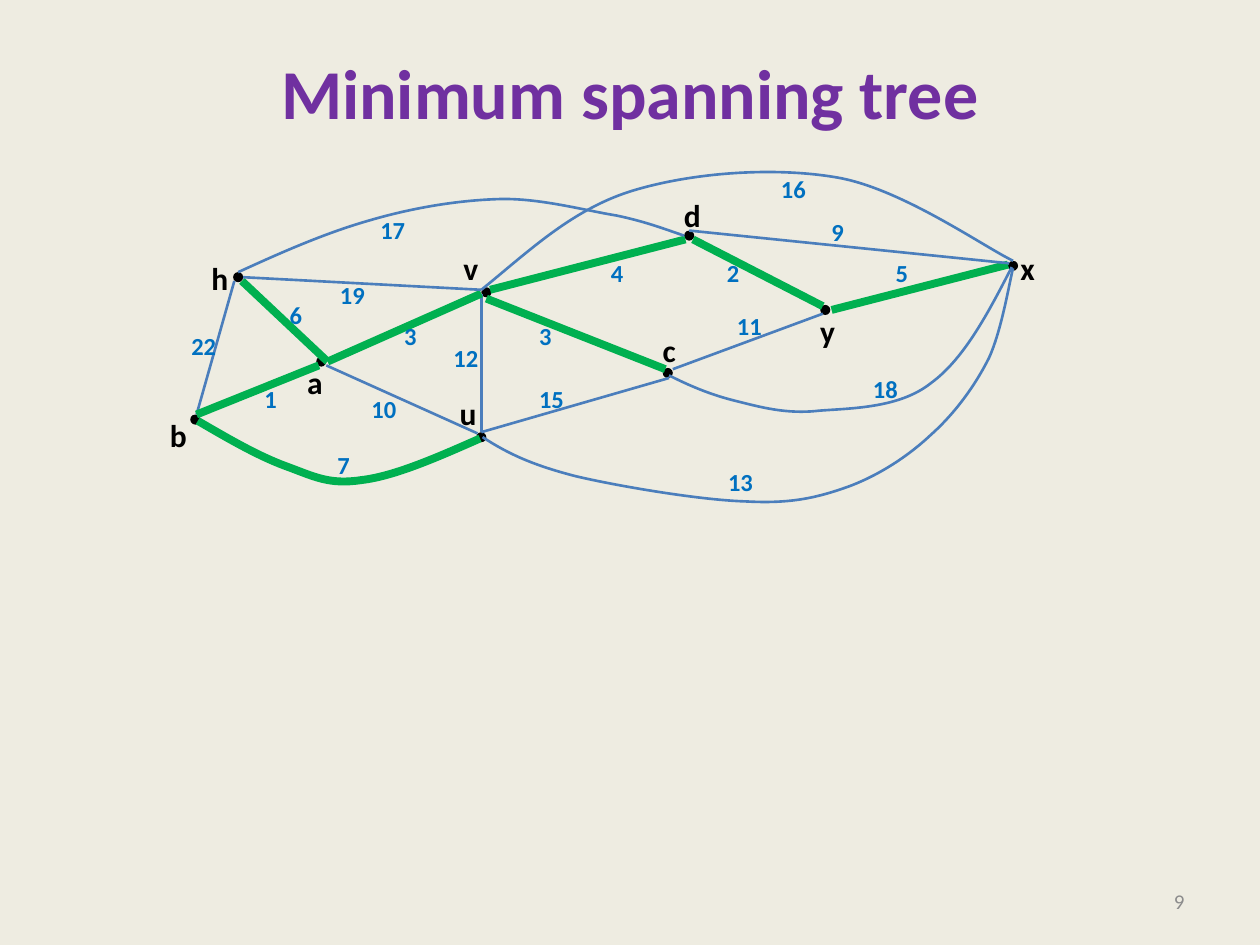
import pptx
import pptx.dml.color
import pptx.enum.shapes
import pptx.enum.text
import pptx.oxml
import pptx.oxml.ns
import pptx.util
from lxml import etree

Inches = pptx.util.Inches
Pt = pptx.util.Pt
qn = pptx.oxml.ns.qn
PP_ALIGN = pptx.enum.text.PP_ALIGN
MSO_ANCHOR = pptx.enum.text.MSO_ANCHOR
MSO_AUTO_SIZE = pptx.enum.text.MSO_AUTO_SIZE

FONT = "Calibri"
BACKGROUND, TITLE, NUMBER = "EEECE1", "7030A0", "8C8C8C"
BLACK, WEIGHT = "000000", "0070C0"
PLAIN, TREE = ("4B7EBC", 1.5), ("00B050", 4.5)
DOT = 0.08

NODES = [
    ("h", (0.85, 1.16), (0.58, 1.01, 0.34)),
    ("b", (0.51, 2.29), (0.25, 2.25, 0.34)),
    ("c", (4.26, 1.92), (4.16, 1.58, 0.31)),
    ("d", (4.43, 0.83), (4.33, 0.51, 0.34)),
    ("u", (2.78, 2.43), (2.55, 2.08, 0.34)),
    ("y", (5.51, 1.42), (5.41, 1.43, 0.32)),
    ("v", (2.82, 1.28), (2.58, 0.93, 0.32)),
    ("a", (1.51, 1.83), (1.34, 1.83, 0.33)),
    ("x", (7, 1.07), (7, 0.93, 0.32)),
]

EDGES = [
    ("10", (1.85, 2.08), PLAIN, [(1.59, 1.9), (2.79, 2.44)]),
    ("12", (2.5, 1.67), PLAIN, [(2.82, 1.33), (2.82, 2.43)]),
    ("4", (3.75, 1), TREE, [(4.44, 0.9), (2.89, 1.3)]),
    ("15", (3.18, 2), PLAIN, [(2.82, 2.43), (4.31, 2)]),
    ("11", (4.75, 1.42), PLAIN, [(4.34, 1.93), (5.53, 1.49)]),
    ("22", (0.42, 1.58), PLAIN, [(0.86, 1.23), (0.56, 2.29)]),
    ("18", (5.83, 1.92), PLAIN, [
        (4.31, 1.98), (4.47, 2.06), (4.63, 2.13), (4.83, 2.18),
        (5.03, 2.23), (5.24, 2.29), (5.5, 2.26),
        (5.76, 2.24), (6.14, 2.24), (6.39, 2.04),
        (6.65, 1.85), (6.84, 1.49), (7.03, 1.12)]),
    ("13", (4.68, 2.66), PLAIN, [
        (2.83, 2.47), (3.03, 2.6), (3.22, 2.69), (3.57, 2.78),
        (3.91, 2.86), (4.56, 2.97), (4.92, 2.98),
        (5.28, 3), (5.49, 2.95), (5.74, 2.86),
        (5.98, 2.77), (6.21, 2.62), (6.39, 2.45),
        (6.58, 2.28), (6.74, 2.06), (6.85, 1.84),
        (6.95, 1.62), (7.01, 1.25), (7.04, 1.13)]),
    ("6", (1.2, 1.33), TREE, [(0.92, 1.23), (1.6, 1.87)]),
    ("1", (1, 2), TREE, [(0.56, 2.29), (1.53, 1.9)]),
    ("3", (2.11, 1.5), TREE, [(1.6, 1.87), (2.82, 1.33)]),
    ("3", (3.18, 1.5), TREE, [(4.28, 1.93), (2.86, 1.37)]),
    ("2", (4.67, 1), TREE, [(5.53, 1.43), (4.5, 0.9)]),
    ("5", (6.01, 1), TREE, [(7, 1.1), (5.6, 1.46)]),
    ("7", (1.58, 2.52), TREE, [
        (0.57, 2.34), (0.81, 2.48), (1.05, 2.62), (1.27, 2.7),
        (1.49, 2.78), (1.61, 2.85), (1.87, 2.81),
        (2.13, 2.78), (2.47, 2.63), (2.81, 2.48)]),
    ("17", (1.92, 0.66), PLAIN, [
        (0.89, 1.16), (1.24, 1), (1.58, 0.85), (1.93, 0.75),
        (2.27, 0.65), (2.63, 0.59), (2.96, 0.58),
        (3.28, 0.57), (3.64, 0.67), (3.89, 0.71),
        (4.13, 0.76), (4.28, 0.82), (4.43, 0.87)]),
    ("16", (5.1, 0.33), PLAIN, [
        (2.82, 1.3), (3.19, 1), (3.53, 0.67), (4, 0.52),
        (4.48, 0.37), (5.14, 0.32), (5.65, 0.41),
        (6.16, 0.5), (6.81, 0.96), (7.04, 1.07)]),
    ("9", (5.5, 0.67), PLAIN, [(7.01, 1.09), (4.47, 0.83)]),
    ("19", (1.6, 1.17), PLAIN, [(0.93, 1.2), (2.82, 1.3)]),
]


def rgb(color):
    return pptx.dml.color.RGBColor.from_string(color)


def add_text(s, box, text, size, color, bold=True, align=PP_ALIGN.LEFT):
    sp = s.shapes.add_textbox(*map(Inches, box))
    tf = sp.text_frame
    p = tf.paragraphs[0]
    p.alignment = align
    r = p.add_run()
    r.text = text
    r.font.name, r.font.size, r.font.bold = FONT, Pt(size), bold
    r.font.color.rgb = rgb(color)
    return tf


def add_label(s, box, text, size, color):
    tf = add_text(s, box, text, size, color)
    tf.word_wrap = False
    tf.auto_size = MSO_AUTO_SIZE.SHAPE_TO_FIT_TEXT


def add_title(s, box, text):
    tf = add_text(s, box, text, 40, TITLE, align=PP_ALIGN.CENTER)
    tf.word_wrap = True
    tf.vertical_anchor = MSO_ANCHOR.MIDDLE
    tf.margin_bottom = Inches(0.44)


def add_number(s, box, text):
    tf = add_text(s, box, text, 12, NUMBER, False, PP_ALIGN.RIGHT)
    tf.word_wrap = True
    tf.vertical_anchor = MSO_ANCHOR.MIDDLE


def add_dot(s, x, y):
    sp = s.shapes.add_shape(pptx.enum.shapes.MSO_SHAPE.OVAL,
                            Inches(x), Inches(y), Inches(DOT), Inches(DOT))
    sp.shadow.inherit = False
    sp.fill.solid()
    sp.fill.fore_color.rgb = rgb(BLACK)
    sp.line.fill.background()


def add_straight(s, start, end):
    sp = s.shapes.add_connector(pptx.enum.shapes.MSO_CONNECTOR.STRAIGHT,
                                *map(Inches, start + end))
    return sp


def add_curve(s, points):
    start, *rest = [tuple(map(Inches, pt)) for pt in points]
    fb = s.shapes.build_freeform(*start)
    fb.add_line_segments(rest, close=False)
    sp = fb.convert_to_shape()
    sp.fill.background()
    segments = list(sp.element.iter(qn("a:lnTo")))
    outline = segments[0].getparent()
    for i in range(0, len(segments), 3):
        bezier = etree.SubElement(outline, qn("a:cubicBezTo"))
        for seg in segments[i:i + 3]:
            bezier.append(seg[0])
            outline.remove(seg)
    return sp


def add_edge(s, points, style):
    if len(points) == 2:
        sp = add_straight(s, *points)
        etree.SubElement(sp.element.spPr, qn("a:effectLst"))
        color, width = style
        sp.line.color.rgb = rgb(color)
        sp.line.width = Pt(width)
        return
    sp = add_curve(s, points)
    sp.shadow.inherit = False
    color, width = style
    sp.line.color.rgb = rgb(color)
    sp.line.width = Pt(width)


def add_graph(s, left, top):
    for name, (x, y), label in NODES:
        add_dot(s, left + x, top + y)
    for weight, label, style, points in EDGES:
        add_edge(s, [(left + x, top + y) for x, y in points], style)
    for name, dot, (x, y, width) in NODES:
        add_label(s, (left + x, top + y, width, 0.4), name, 18, BLACK)
    for weight, (x, y), style, points in EDGES:
        width = 0.2 + 0.1 * len(weight)
        add_label(s, (left + x, top + y, width, 0.34), weight, 14, WEIGHT)


prs = pptx.Presentation()
prs.slide_width, prs.slide_height = Inches(10), Inches(7.5)
s = prs.slides.add_slide(prs.slide_layouts[6])
s.background.fill.solid()
s.background.fill.fore_color.rgb = rgb(BACKGROUND)
add_title(s, (0.5, 0.3, 9, 1.25), "Minimum spanning tree")
add_number(s, (7.17, 6.95, 2.33, 0.4), "9")
add_graph(s, 1, 1)
prs.save("out.pptx")
